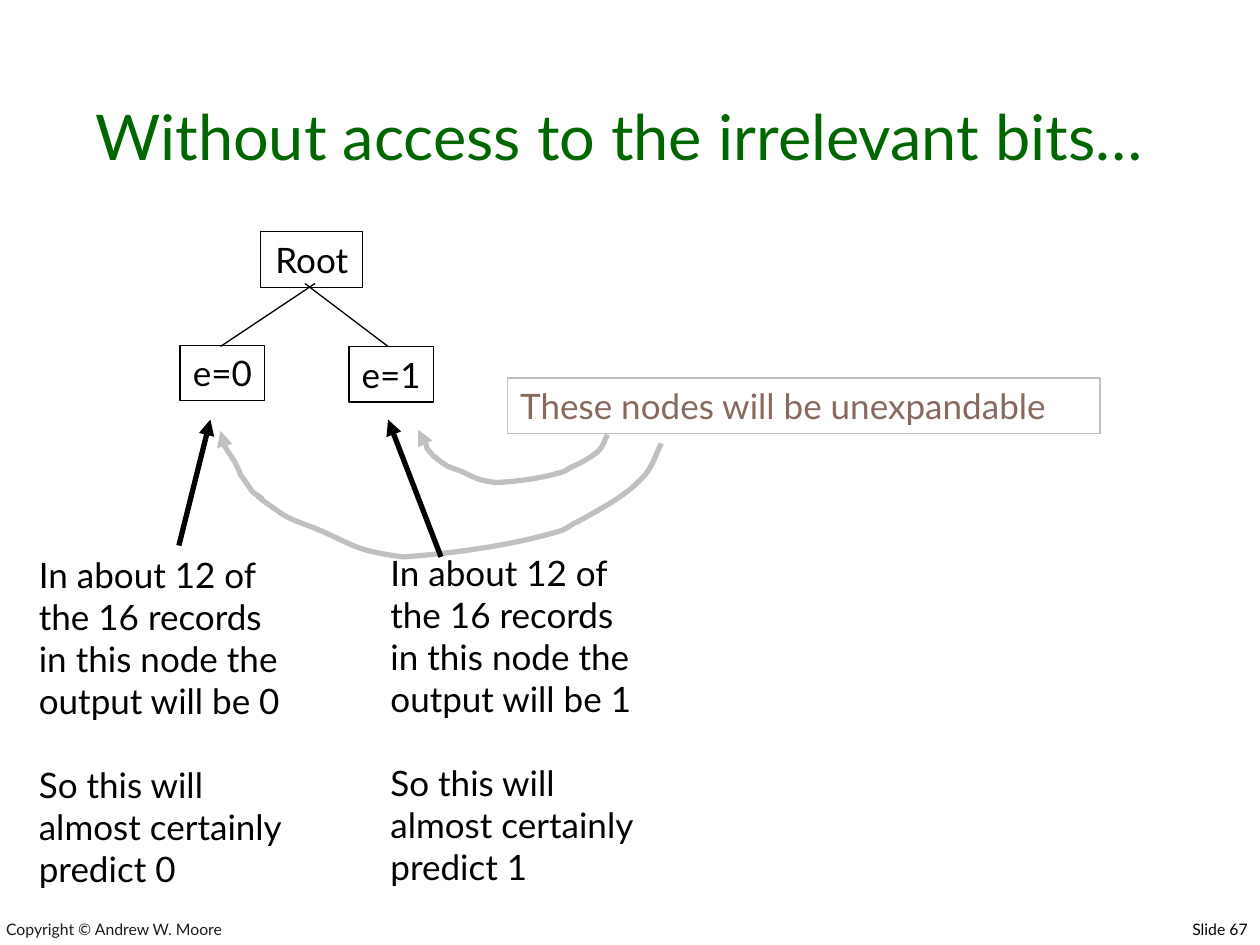
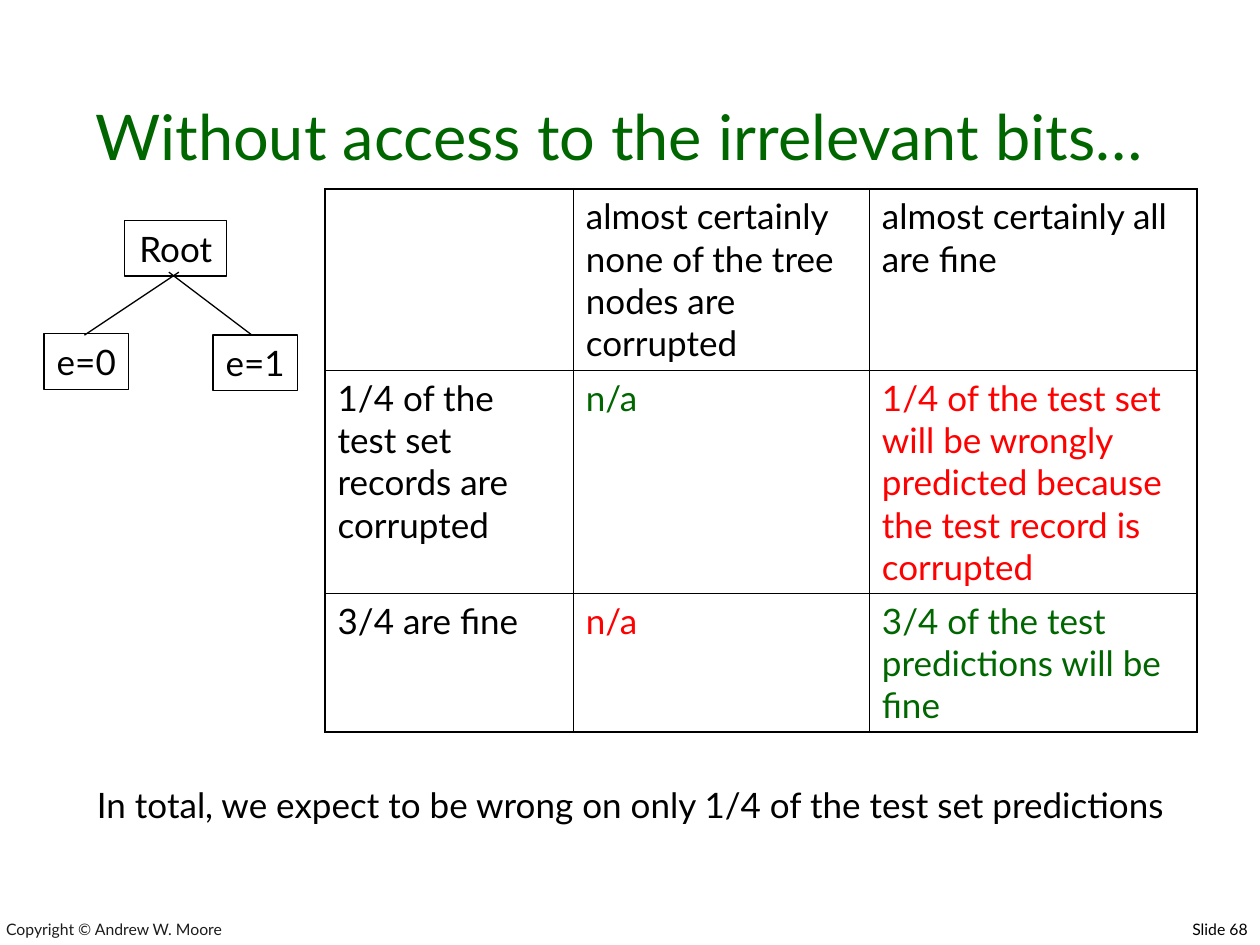
"""Build two slides on a decision tree without access to the irrelevant bits."""
from dataclasses import dataclass

from lxml.etree import SubElement
from pptx import Presentation
from pptx.dml.color import RGBColor as RGB
from pptx.enum.shapes import MSO_CONNECTOR as CONN, MSO_SHAPE as SHAPE
from pptx.enum.text import MSO_ANCHOR as ANCHOR, MSO_AUTO_SIZE as FIT, PP_ALIGN as ALIGN
from pptx.oxml import parse_xml
from pptx.oxml.ns import nsdecls, qn
from pptx.util import Inches, Pt


@dataclass(frozen=True)
class Theme:
    font: str = "Lato"
    black: str = "000000"
    green: str = "006600"
    red: str = "FF0000"
    grey: str = "C0C0C0"
    brown: str = "876A5D"
    footer: str = "1C1C1C"
    title_size: float = 36
    body_size: float = 20
    footer_size: float = 9
    thin: float = 0.75
    thick: float = 3
    inner_border: float = 0.45
    outer_border: float = 1.08


T = Theme()
TITLE = "Without access to the irrelevant bits…"
COPYRIGHT = "Copyright © Andrew W. Moore"
FIRST_NUMBER = 67

TREE_NODES = [("e=0", 0, 0.9, 0.67), ("e=1", 1.34, 0.91, 0.67), ("Root", 0.64, 0, 0.81)]
TREE_EDGES = [((0.32, 0.91), (1.07, 0.41)), ((0.99, 0.41), (1.65, 0.91))]
NODE_HEIGHT = 0.44

UNEXPANDABLE = "These nodes will be unexpandable"
LEAF_NOTES = [
    (0, (0.21, 4.34), ((1.42, 4.33), (1.67, 3.33))),
    (1, (3, 4.33), ((3.5, 4.42), (3.08, 3.33))),
]
CURVED_ARROWS = [
    [(4.82, 3.45),
     (4.8, 3.49), (4.79, 3.54), (4.75, 3.58),
     (4.69, 3.63), (4.62, 3.67), (4.53, 3.71),
     (4.51, 3.73), (4.51, 3.73), (4.48, 3.74),
     (4.33, 3.79), (4.13, 3.82), (3.94, 3.83),
     (3.78, 3.81), (3.77, 3.79), (3.66, 3.74),
     (3.61, 3.72), (3.56, 3.71), (3.52, 3.68),
     (3.38, 3.58), (3.52, 3.67), (3.44, 3.62),
     (3.42, 3.6), (3.41, 3.58), (3.39, 3.56),
     (3.38, 3.51), (3.32, 3.46), (3.32, 3.41)],
    [(5.25, 3.52),
     (5.2, 3.61), (5.18, 3.72), (5.08, 3.81),
     (4.96, 3.94), (4.78, 4.03), (4.59, 4.14),
     (4.53, 4.16), (4.53, 4.18), (4.46, 4.21),
     (4.1, 4.32), (3.64, 4.39), (3.2, 4.42),
     (2.81, 4.37), (2.8, 4.32), (2.54, 4.21),
     (2.43, 4.16), (2.3, 4.13), (2.21, 4.06),
     (1.87, 3.82), (2.21, 4.04), (2.01, 3.91),
     (1.97, 3.86), (1.95, 3.82), (1.91, 3.77),
     (1.87, 3.65), (1.75, 3.54), (1.75, 3.42)],
]

COLUMN_WIDTHS = [1.97, 2.35, 2.6]
ROW_HEIGHTS = [1.44, 1.77, 1.1]
CORRUPTION_TABLE = [
    [("", T.black),
     ("almost certainly none of the tree nodes are corrupted", T.black),
     ("almost certainly all are fine", T.black)],
    [("1/4 of the test set records are corrupted", T.black),
     ("n/a", T.green),
     ("1/4 of the test set will be wrongly predicted because the test record is corrupted", T.red)],
    [("3/4 are fine", T.black),
     ("n/a", T.red),
     ("3/4 of the test predictions will be fine", T.green)],
]
CONCLUSION = "In total, we expect to be wrong on only 1/4 of the test set predictions"


def write(tf, texts, size=T.body_size, color=T.black, align=ALIGN.LEFT, before=0, gap=0):
    for i, text in enumerate(texts):
        p = tf.add_paragraph() if i else tf.paragraphs[0]
        p.text, p.alignment = text, align
        p.space_before = Pt(gap if i else before)
        p.font.name, p.font.size = T.font, Pt(size)
        p.font.color.rgb = RGB.from_string(color)


def add_text(s, box, texts, anchor=ANCHOR.TOP, **style):
    tf = s.shapes.add_textbox(*map(Inches, box)).text_frame
    tf.word_wrap, tf.vertical_anchor = True, anchor
    write(tf, texts, **style)


def add_box(shapes, box, text, line, wrap=False, **style):
    sp = shapes.add_shape(SHAPE.RECTANGLE, *map(Inches, box))
    sp.shadow.inherit = False
    sp.fill.background()
    set_line(sp, line, T.thin)
    tf = sp.text_frame
    tf.word_wrap, tf.vertical_anchor = wrap, ANCHOR.MIDDLE
    tf.auto_size = FIT.SHAPE_TO_FIT_TEXT
    write(tf, [text], **style)


def set_line(sp, color, width, arrow=False):
    sp.line.color.rgb = RGB.from_string(color)
    sp.line.width = Pt(width)
    if arrow:
        SubElement(sp.line._get_or_add_ln(), qn("a:tailEnd"), type="triangle")


def add_line(shapes, start, end, width=T.thin, arrow=False):
    cx = shapes.add_connector(CONN.STRAIGHT, *map(Inches, (*start, *end)))
    set_line(cx, T.black, width, arrow)
    SubElement(cx._element.spPr, qn("a:effectLst"))


def add_curve(s, points):
    start, *rest = [tuple(map(Inches, point)) for point in points]
    builder = s.shapes.build_freeform(*start)
    builder.add_line_segments(rest, close=False)
    sp = builder.convert_to_shape()
    sp.shadow.inherit = False
    sp.fill.background()
    set_line(sp, T.grey, T.thick, arrow=True)
    segments = list(sp._element.iter(qn("a:lnTo")))
    outline = segments[0].getparent()
    for i in range(0, len(segments), 3):
        bezier = SubElement(outline, qn("a:cubicBezTo"))
        for segment in segments[i:i + 3]:
            bezier.append(segment[0])
            outline.remove(segment)


def add_tree(shapes, left, top):
    for text, x, y, width in TREE_NODES:
        add_box(shapes, (left + x, top + y, width, NODE_HEIGHT), text, T.black,
                align=ALIGN.CENTER)
    for edge in TREE_EDGES:
        add_line(shapes, *((left + x, top + y) for x, y in edge))


def set_borders(cell, outer):
    tcPr = cell._tc.get_or_add_tcPr()
    for i, (side, is_outer) in enumerate(zip("LRTB", outer)):
        width = Pt(T.outer_border if is_outer else T.inner_border)
        tcPr.insert(i, parse_xml(
            f'<a:ln{side} {nsdecls("a")} w="{width}"><a:solidFill>'
            f'<a:srgbClr val="{T.black}"/></a:solidFill></a:ln{side}>'))


def add_corruption_table(s, left, top):
    rows, cols = len(ROW_HEIGHTS), len(COLUMN_WIDTHS)
    size = sum(COLUMN_WIDTHS), sum(ROW_HEIGHTS)
    table = s.shapes.add_table(rows, cols, *map(Inches, (left, top, *size))).table
    table.first_row = table.horz_banding = False
    for column, width in zip(table.columns, COLUMN_WIDTHS):
        column.width = Inches(width)
    for r, height in enumerate(ROW_HEIGHTS):
        table.rows[r].height = Inches(height)
        for c, (text, color) in enumerate(CORRUPTION_TABLE[r]):
            cell = table.cell(r, c)
            cell.fill.background()
            cell.margin_left = cell.margin_right = Inches(0.1)
            cell.margin_top = cell.margin_bottom = Inches(0.05)
            write(cell.text_frame, [text], color=color, before=5)
            set_borders(cell, (c == 0, c == cols - 1, r == 0, r == rows - 1))


def add_slide(prs):
    s = prs.slides.add_slide(prs.slide_layouts[6])
    number = FIRST_NUMBER + len(prs.slides) - 1
    add_text(s, (-0.05, 7.22, 5.55, 0.28), [COPYRIGHT], ANCHOR.BOTTOM,
             size=T.footer_size, color=T.footer)
    add_text(s, (6.08, 7.25, 3.92, 0.27), [f"Slide {number}"],
             size=T.footer_size, align=ALIGN.RIGHT, before=5.6)
    add_text(s, (0.25, 0.25, 9.33, 1.17), [TITLE], ANCHOR.BOTTOM,
             size=T.title_size, color=T.green, align=ALIGN.CENTER)
    return s


def build_leaf_slide(prs):
    s = add_slide(prs)
    add_tree(s.shapes, 1.43, 1.84)
    add_box(s.shapes, (4.03, 3, 4.7, NODE_HEIGHT), UNEXPANDABLE, T.grey, wrap=True,
            color=T.brown)
    for points in CURVED_ARROWS:
        add_curve(s, points)
    for output, corner, (start, end) in LEAF_NOTES:
        add_text(s, (*corner, 2.22, 3.44),
                 [f"In about 12 of the 16 records in this node the output will be {output}",
                  f"So this will almost certainly predict {output}"], gap=24)
        add_line(s.shapes, start, end, T.thick, arrow=True)


def build_table_slide(prs):
    s = add_slide(prs)
    add_tree(s.shapes.add_group_shape().shapes, 0.35, 1.75)
    add_corruption_table(s, 2.58, 1.5)
    add_text(s, (0.42, 6.17, 9.17, 0.77), [CONCLUSION], align=ALIGN.CENTER, before=12.5)


def main():
    prs = Presentation()
    prs.slide_width, prs.slide_height = Inches(10), Inches(7.5)
    build_leaf_slide(prs)
    build_table_slide(prs)
    prs.save("out.pptx")


if __name__ == "__main__":
    main()
